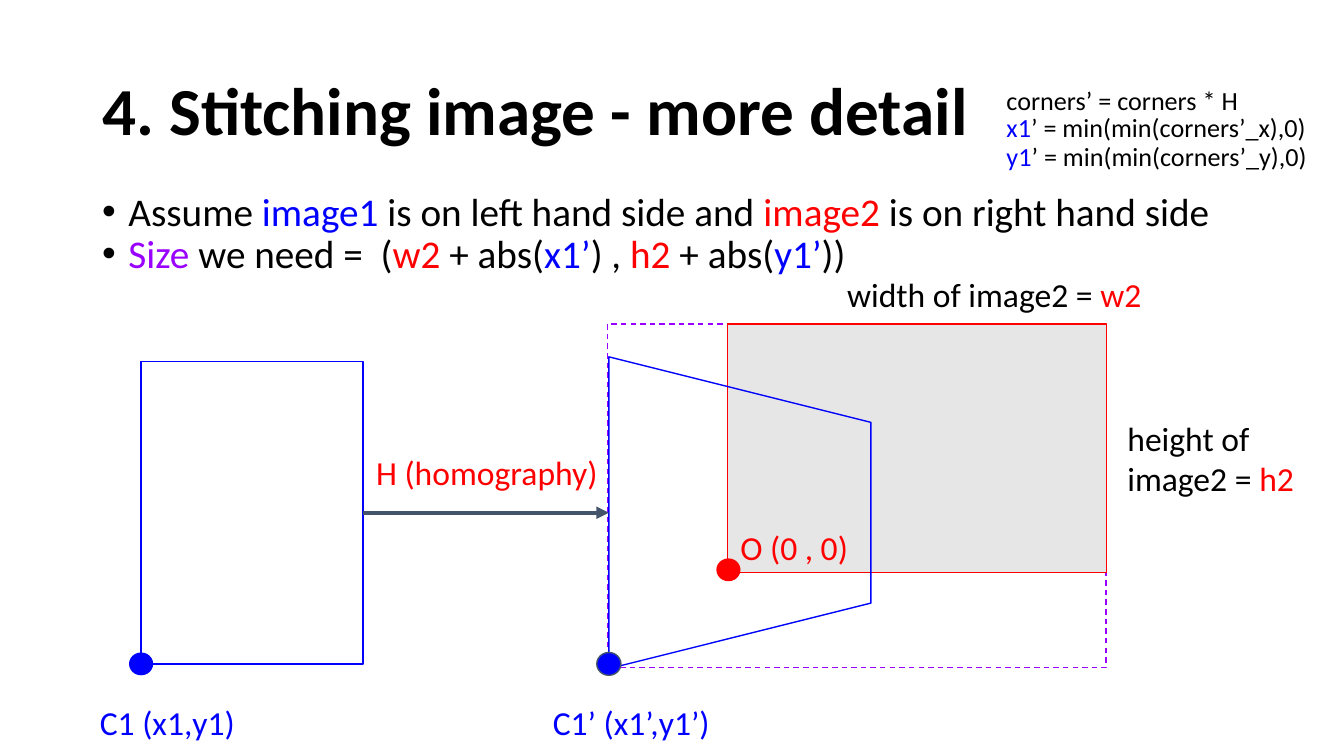
from lxml import etree
from pptx import Presentation
from pptx.dml.color import RGBColor
from pptx.enum.dml import MSO_LINE
from pptx.enum.shapes import MSO_CONNECTOR, MSO_SHAPE
from pptx.enum.text import MSO_ANCHOR, PP_ALIGN
from pptx.oxml.ns import qn
from pptx.util import Emu, Pt

PX = 4572
FONT = "Calibri"
BLACK, BLUE, RED, PURPLE = "000000", "0000FF", "FF0000", "9900FF"
GRAY, SLATE = "E7E6E6", "44546A"
RECTANGLE, TRAPEZOID, OVAL = MSO_SHAPE.RECTANGLE, MSO_SHAPE.TRAPEZOID, MSO_SHAPE.OVAL
STRAIGHT, DASH = MSO_CONNECTOR.STRAIGHT, MSO_LINE.DASH
LEFT, TOP, MIDDLE = PP_ALIGN.LEFT, MSO_ANCHOR.TOP, MSO_ANCHOR.MIDDLE
RIGHT_SIDE = 3


def px(*values):
    """Turn pixel lengths into EMU."""
    return [Emu(value * PX) for value in values]


def color(value):
    """Turn a hex string into a colour."""
    return RGBColor.from_string(value)


def within(box, part):
    """Move a part given relative to a box onto the slide."""
    return (box[0] + part[0], box[1] + part[1], *part[2:])


def set_frame(frame, side, edge, anchor=TOP):
    """Set the wrapping, insets and anchor of a text frame."""
    frame.word_wrap = True
    frame.vertical_anchor = anchor
    frame.margin_left, frame.margin_right = px(side, side)
    frame.margin_top, frame.margin_bottom = px(edge, edge)


def add_spans(para, spans, size):
    """Fill a paragraph with coloured spans of one size."""
    para.alignment = LEFT
    para.font.name = FONT
    para.font.size = Pt(size)
    for text, shade in spans:
        span = para.add_run()
        span.text = text
        span.font.color.rgb = color(shade)


def add_bullet(para):
    """Give a paragraph a hanging black bullet."""
    props = para._p.get_or_add_pPr()
    indent = 39 * PX
    props.set("marL", str(indent))
    props.set("indent", str(-indent))
    shade = etree.SubElement(props, qn("a:buClr"))
    etree.SubElement(shade, qn("a:srgbClr")).set("val", BLACK)
    etree.SubElement(props, qn("a:buFont")).set("typeface", "Arial")
    etree.SubElement(props, qn("a:buChar")).set("char", "•")


def add_text(page, box, lines, size, side=20, edge=20, bullets=False):
    """Add a text box with one paragraph for each list of spans."""
    frame = page.shapes.add_textbox(*px(*box)).text_frame
    set_frame(frame, side, edge)
    for index, spans in enumerate(lines):
        para = frame.add_paragraph() if index else frame.paragraphs[0]
        if bullets:
            add_bullet(para)
        if bullets or index:
            para.line_spacing = 0.9
        add_spans(para, spans, size)


def add_outline(page, kind, box, fill=None, line=None):
    """Add a preset shape with an optional fill and thin line."""
    shape = page.shapes.add_shape(kind, *px(*box))
    shape.shadow.inherit = False
    if fill:
        shape.fill.solid()
        shape.fill.fore_color.rgb = color(fill)
    else:
        shape.fill.background()
    if line:
        shape.line.color.rgb = color(line)
        shape.line.width = Pt(0.75)
    else:
        shape.line.fill.background()
    return shape


def add_arrow(page, source, start, end):
    """Add an arrow leaving the right side of a source shape."""
    arrow = page.shapes.add_connector(STRAIGHT, *px(*start, *end))
    arrow.begin_connect(source, RIGHT_SIDE)
    arrow.line.color.rgb = color(SLATE)
    arrow.line.width = Pt(2.25)
    etree.SubElement(arrow.line._get_or_add_ln(), qn("a:tailEnd")).set("type", "triangle")
    etree.SubElement(arrow._element.spPr, qn("a:effectLst"))


def place_title(page, box):
    """Place and format the slide title."""
    title = page.shapes.title
    title.left, title.top, title.width, title.height = px(*box)
    set_frame(title.text_frame, 14, 8, MIDDLE)
    para = title.text_frame.paragraphs[0]
    para.line_spacing = 0.9
    para.font.bold = True
    add_spans(para, [("4. Stitching image - more detail", BLACK)], 36)


def place_bullets(page, box):
    """Place the assumption and the size formula."""
    add_text(page, box, [
        [("Assume", BLACK), (" image1", BLUE), (" is on left hand side and ", BLACK),
         ("image2", RED), (" is on right hand side", BLACK)],
        [("Size ", PURPLE), ("we need =  (", BLACK), ("w2", RED), (" + abs(", BLACK),
         ("x1’", BLUE), (") , ", BLACK), ("h2", RED), (" + abs(", BLACK),
         ("y1’", BLUE), ("))", BLACK)],
    ], 21, side=14, edge=8, bullets=True)


def place_formulas(page, box):
    """Place the corner formulas."""
    minimums = [[(f"{axis}1", BLUE), (f"’ = min(min(corners’_{axis}),0)", BLACK)]
                for axis in "xy"]
    add_text(page, box, [[("corners’ = corners * H", BLACK)], *minimums], 14)


def place_diagram(page, box):
    """Place the images, the homography arrow, the labels and the corner dots."""
    canvas = add_outline(page, RECTANGLE, within(box, (776, 96, 742, 512)), line=PURPLE)
    canvas.line.dash_style = DASH
    add_outline(page, RECTANGLE, within(box, (955, 96, 564, 370)), GRAY, RED)
    image1 = add_outline(page, RECTANGLE, within(box, (82, 152, 330, 450)), line=BLUE)
    warped = add_outline(page, TRAPEZOID, within(box, (741, 182, 464, 390)), line=BLUE)
    warped.adjustments[0] = 0.25
    warped.rotation = 90
    add_arrow(page, image1, within(box, (412, 377)), within(box, (778, 377)))
    labels = [
        ((412, 267, 376, 100), [("H (homography)", RED)]),
        ((1, 639, 254, 100), [("C1 (x1,y1)", BLUE)]),
        ((675, 639, 280, 100), [("C1’ (x1’,y1’)", BLUE)]),
        ((1113, 1, 506, 100), [("width of image2 = ", BLACK), ("w2", RED)]),
        ((1530, 216, 296, 162), [("height of image2 = ", BLACK), ("h2", RED)]),
        ((954, 378, 202, 100), [("O (0 , 0)", RED)]),
    ]
    for part, spans in labels:
        add_text(page, within(box, part), [spans], 18)
    for left, top, fill, line in [(760, 585, BLUE, SLATE), (64, 585, BLUE, None),
                                  (938, 445, RED, None)]:
        add_outline(page, OVAL, within(box, (left, top, 36, 34)), fill, line)


def main():
    """Build the slide and save it."""
    deck = Presentation()
    deck.slide_width, deck.slide_height = px(2000, 1125)
    page = deck.slides.add_slide(deck.slide_layouts[5])
    place_bullets(page, (138, 278, 1724, 714))
    place_title(page, (138, 60, 1724, 218))
    place_diagram(page, (128, 386, 1826, 738))
    place_formulas(page, (1478, 105, 498, 172))
    deck.save("out.pptx")


if __name__ == "__main__":
    main()
